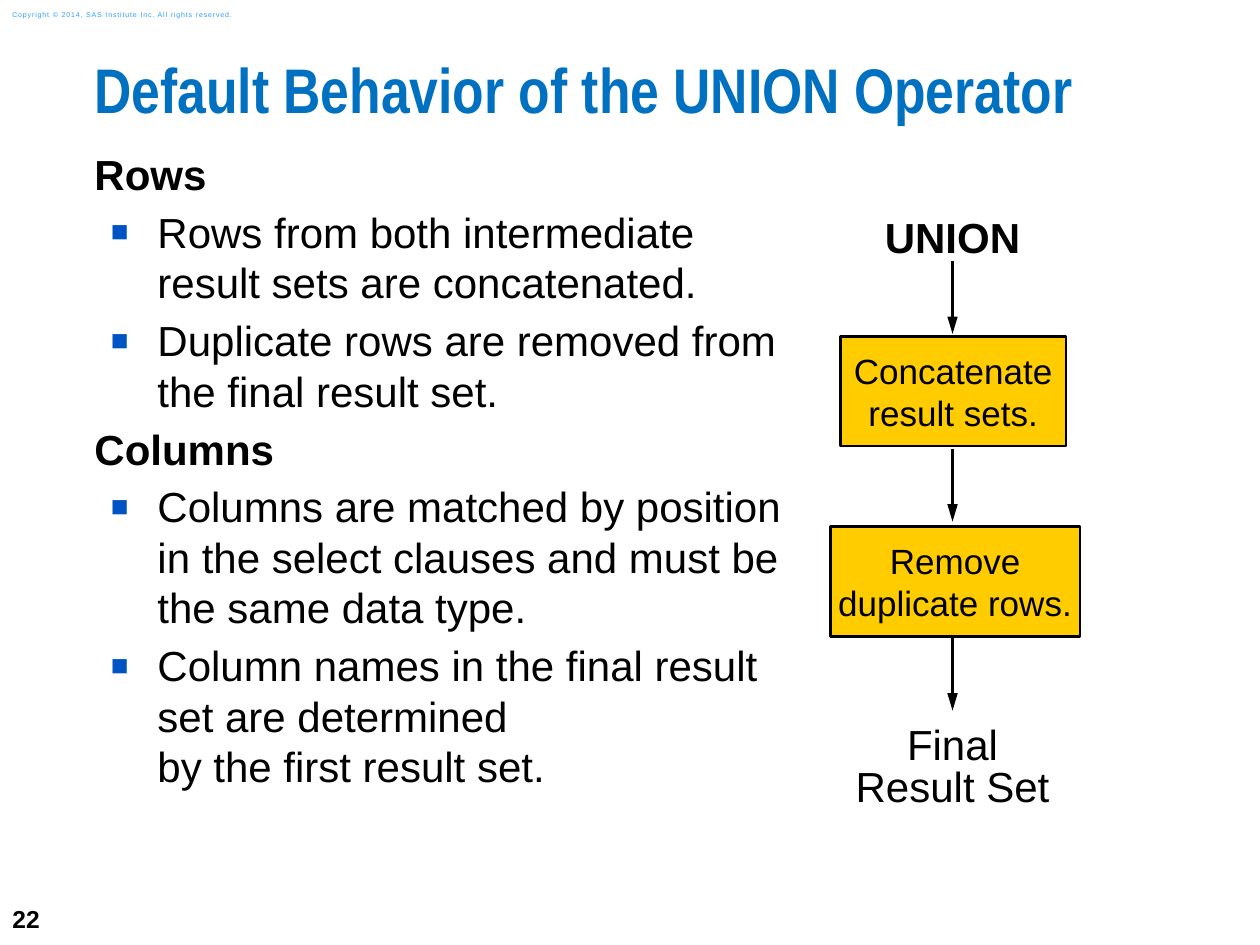
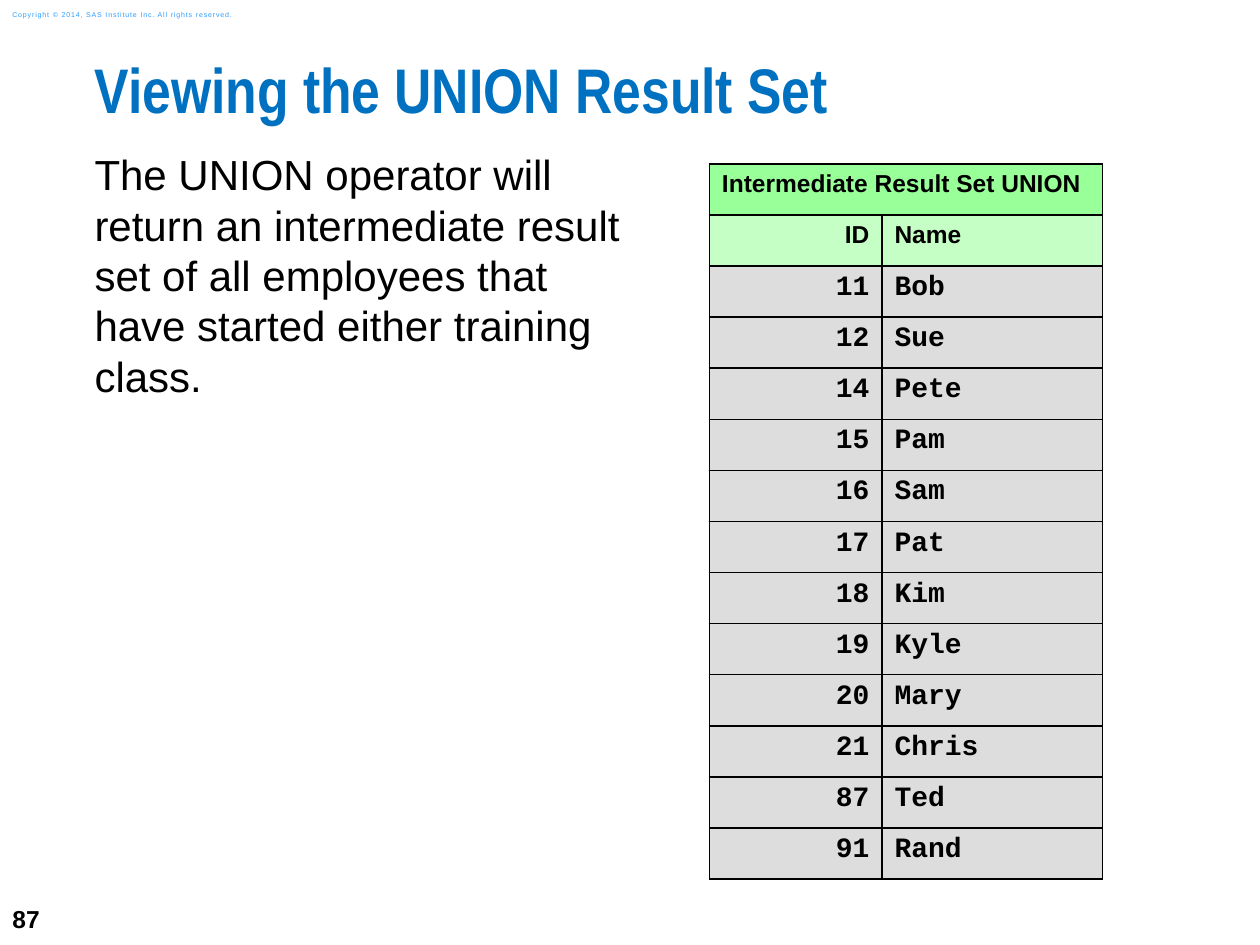
import dataclasses

import lxml.etree
import pptx
import pptx.dml.color
import pptx.enum.shapes
import pptx.enum.text
import pptx.oxml.ns
import pptx.util

Inches = pptx.util.Inches
Pt = pptx.util.Pt
Align = pptx.enum.text.PP_ALIGN
Anchor = pptx.enum.text.MSO_ANCHOR
qn = pptx.oxml.ns.qn


@dataclasses.dataclass(frozen=True)
class Theme:
    font: str = "Arial"
    title_font: str = "Arial Narrow"
    code_font: str = "Courier New"
    ink: str = "000000"
    title: str = "0070C0"
    copyright: str = "2A9CFF"
    bullet: str = "0053C3"
    step: str = "FFCC00"
    caption: str = "99FF99"
    header: str = "C5FFC5"
    data: str = "DDDDDD"
    title_size: float = 36
    body_size: float = 24
    step_size: float = 20
    data_size: float = 16
    label_size: float = 14
    copyright_size: float = 4
    line_width: float = 1.5
    border_width: float = 1


THEME = Theme()
COPYRIGHT = "Copyright © 2014, SAS Institute Inc. All rights reserved."
FLOW_CENTER = 7.56
FLOW_LABEL_WIDTH = 1.8


def rgb(value):
    return pptx.dml.color.RGBColor.from_string(value)


def add_child(parent, tag, **attributes):
    return lxml.etree.SubElement(parent, qn(tag), **attributes)


def format_paragraph(paragraph, size, color=THEME.ink, font=THEME.font, bold=False,
                     align=Align.LEFT, line_spacing=None):
    paragraph.alignment = align
    if line_spacing:
        paragraph.line_spacing = line_spacing
    for run in paragraph.runs:
        run.font.name = font
        run.font.size = Pt(size)
        run.font.bold = bold
        run.font.color.rgb = rgb(color)


def prepare_frame(shape, anchor=Anchor.TOP, wrap=True, margins=(0, 0)):
    frame = shape.text_frame
    frame.word_wrap = wrap
    frame.vertical_anchor = anchor
    frame.margin_left = frame.margin_right = Inches(margins[0])
    frame.margin_top = frame.margin_bottom = Inches(margins[1])
    return frame


def add_text(slide, box, text, size, anchor=Anchor.TOP, margins=(0, 0), **style):
    shape = slide.shapes.add_textbox(*map(Inches, box))
    frame = prepare_frame(shape, anchor, margins=margins)
    frame.text = text
    for paragraph in frame.paragraphs:
        format_paragraph(paragraph, size, **style)
    return frame


def add_base_slide(presentation, title, number):
    slide = presentation.slides.add_slide(presentation.slide_layouts[6])
    add_text(slide, (0, 7.08, 0.58, 0.42), number, THEME.label_size,
             anchor=Anchor.MIDDLE, margins=(0.1, 0.05), bold=True)
    notice = add_text(slide, (0, 0.03, 2.11, 0.17), COPYRIGHT, THEME.copyright_size,
                      anchor=Anchor.MIDDLE, margins=(0.1, 0.05), color=THEME.copyright)
    notice.paragraphs[0].runs[0].font._element.set("spc", "50")
    add_text(slide, (0.75, 0.5, 9.25, 0.74), title, THEME.title_size, color=THEME.title,
             font=THEME.title_font, bold=True, line_spacing=0.83)
    return slide


def add_bullet(paragraph):
    properties = paragraph._p.get_or_add_pPr()
    properties.set("marL", str(Inches(0.5)))
    properties.set("indent", str(Inches(-0.37)))
    color = add_child(properties, "a:buClr")
    add_child(color, "a:srgbClr", val=THEME.bullet)
    add_child(properties, "a:buSzPct", val="70000")
    add_child(properties, "a:buFont", typeface=THEME.font)
    add_child(properties, "a:buChar", char="■")


def add_outline(slide, box, sections):
    lines = [(text, level) for heading, points in sections
             for text, level in [(heading, 0)] + [(point, 1) for point in points]]
    frame = prepare_frame(slide.shapes.add_textbox(*map(Inches, box)))
    for index, (text, level) in enumerate(lines):
        paragraph = frame.add_paragraph() if index else frame.paragraphs[0]
        paragraph.text = text
        if level:
            add_bullet(paragraph)
        if index:
            paragraph.space_before = Pt(0.2)
        paragraph.space_after = Pt(4.1)
        format_paragraph(paragraph, THEME.body_size, bold=level == 0)


def add_flow_label(slide, top, height, text, **style):
    box = (FLOW_CENTER - FLOW_LABEL_WIDTH / 2, top, FLOW_LABEL_WIDTH, height)
    add_text(slide, box, text, THEME.body_size, align=Align.CENTER, **style)


def add_step(slide, left, top, width, text):
    shape = slide.shapes.add_shape(
        pptx.enum.shapes.MSO_SHAPE.FLOWCHART_PROCESS,
        Inches(left), Inches(top), Inches(width), Inches(0.87))
    shape.shadow.inherit = False
    shape.fill.solid()
    shape.fill.fore_color.rgb = rgb(THEME.step)
    shape.line.color.rgb = rgb(THEME.ink)
    shape.line.width = Pt(THEME.line_width)
    frame = prepare_frame(shape, Anchor.MIDDLE, wrap=False)
    frame.text = text
    format_paragraph(frame.paragraphs[0], THEME.step_size, align=Align.CENTER)


def add_arrow(slide, top, bottom):
    arrow = slide.shapes.add_connector(
        pptx.enum.shapes.MSO_CONNECTOR.STRAIGHT,
        Inches(FLOW_CENTER), Inches(top), Inches(FLOW_CENTER), Inches(bottom))
    arrow.line.color.rgb = rgb(THEME.ink)
    arrow.line.width = Pt(THEME.line_width)
    add_child(arrow.line._get_or_add_ln(), "a:tailEnd", type="triangle", w="med", len="lg")
    add_child(arrow._element.spPr, "a:effectLst")


def style_cell(cell, fill, size, font=THEME.font, align=Align.LEFT):
    properties = cell._tc.get_or_add_tcPr()
    for side in ("a:lnL", "a:lnR", "a:lnT", "a:lnB"):
        line = add_child(properties, side, w=str(Pt(THEME.border_width)))
        add_child(add_child(line, "a:solidFill"), "a:srgbClr", val=THEME.ink)
    cell.fill.solid()
    cell.fill.fore_color.rgb = rgb(fill)
    format_paragraph(cell.text_frame.paragraphs[0], size, font=font, bold=True, align=align)


def add_result_table(slide, left, top, height, caption, header, employees):
    rows = [(caption, ""), header] + employees
    widths = (1.37, 1.75)
    frame = slide.shapes.add_table(len(rows), len(widths), Inches(left), Inches(top),
                                   Inches(sum(widths)), Inches(height))
    table = frame.table
    table.first_row = table.horz_banding = False
    for column, width in zip(table.columns, widths):
        column.width = Inches(width)
    fills = [THEME.caption, THEME.header] + [THEME.data] * len(employees)
    for row_index, values in enumerate(rows):
        table.rows[row_index].height = Inches(height / len(rows))
        is_data = row_index > 1
        for column_index, value in enumerate(values):
            cell = table.cell(row_index, column_index)
            cell.text = value
            style_cell(cell, fills[row_index],
                       THEME.data_size if is_data else THEME.label_size,
                       THEME.code_font if is_data else THEME.font,
                       Align.RIGHT if row_index and column_index == 0 else Align.LEFT)
    table.cell(0, 0).merge(table.cell(0, 1))


def build_behavior_slide(presentation):
    slide = add_base_slide(presentation, "Default Behavior of the UNION Operator", "22")
    add_outline(slide, (0.75, 1.18, 5.47, 4.66), [
        ("Rows", [
            "Rows from both intermediate result sets are concatenated.",
            "Duplicate rows are removed from the final result set.",
        ]),
        ("Columns", [
            "Columns are matched by position in the select clauses "
            "and must be the same data type.",
            "Column names in the final result set are determined \vby the first result set.",
        ]),
    ])
    add_flow_label(slide, 1.68, 0.4, "UNION", bold=True)
    add_step(slide, 6.67, 2.67, 1.79, "Concatenate\vresult sets.")
    add_step(slide, 6.59, 4.18, 1.98, "Remove\vduplicate rows.")
    add_flow_label(slide, 5.76, 0.69, "Final\nResult Set", line_spacing=0.85)
    for top, bottom in ((2.07, 2.65), (3.56, 4.14), (5.06, 5.64)):
        add_arrow(slide, top, bottom)


def build_result_slide(presentation):
    slide = add_base_slide(presentation, "Viewing the UNION Result Set", "87")
    add_text(slide, (0.75, 1.18, 4.25, 4.66),
             "The UNION operator will return an intermediate result set of all employees "
             "that have started either training class.", THEME.body_size)
    employees = [
        ("11", "Bob"), ("12", "Sue"), ("14", "Pete"), ("15", "Pam"),
        ("16", "Sam"), ("17", "Pat"), ("18", "Kim"), ("19", "Kyle"),
        ("20", "Mary"), ("21", "Chris"), ("87", "Ted"), ("91", "Rand"),
    ]
    add_result_table(slide, 5.63, 1.3, 5.68, "Intermediate Result Set UNION",
                     ("ID", "Name"), employees)


def main():
    presentation = pptx.Presentation()
    presentation.slide_width = Inches(10)
    presentation.slide_height = Inches(7.5)
    build_behavior_slide(presentation)
    build_result_slide(presentation)
    presentation.save("out.pptx")


if __name__ == "__main__":
    main()
